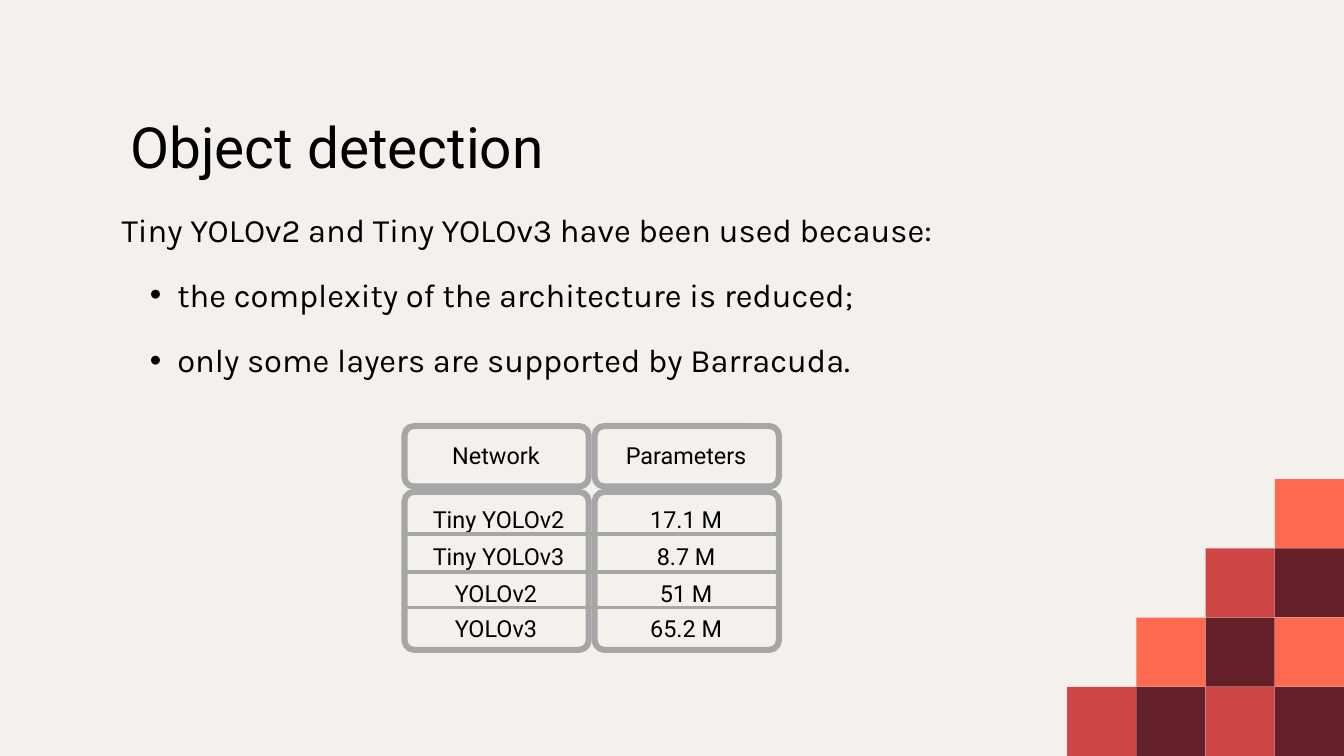
import pptx
import pptx.util
import pptx.dml.color
import pptx.enum.shapes
import pptx.enum.text
import pptx.oxml.ns
from lxml import etree

PX = 9144  # 100 px to the inch
WIDE, HIGH = 2000, 1125
GREY = "A6A6A6"
Pt = pptx.util.Pt
SHAPE = pptx.enum.shapes.MSO_SHAPE
qn = pptx.oxml.ns.qn


def rgb(code):
    return pptx.dml.color.RGBColor.from_string(code)


def write(left, top, width, height, lines, font, size, pitch, align="LEFT"):
    box = slide.shapes.add_textbox(left * PX, top * PX, width * PX, height * PX)
    frame = box.text_frame
    frame.word_wrap = True
    frame.margin_left = frame.margin_right = 0
    frame.margin_top = frame.margin_bottom = 0
    for i, line in enumerate(lines):
        para = frame.paragraphs[0] if i == 0 else frame.add_paragraph()
        para.alignment = getattr(pptx.enum.text.PP_ALIGN, align)
        para.line_spacing = Pt(pitch)
        run = para.add_run()
        run.text = line
        run.font.name = font
        run.font.size = Pt(size)
        run.font.color.rgb = rgb("000000")
    return frame


deck = pptx.Presentation()
deck.slide_width = WIDE * PX
deck.slide_height = HIGH * PX
slide = deck.slides.add_slide(deck.slide_layouts[6])
slide.background.fill.solid()
slide.background.fill.fore_color.rgb = rgb("F4F1ED")

# Stairs of tiles, set out from the bottom right corner
tile = 103
dark, coral, red = "65212A", "FF6950", "CF4545"
stairs = [[coral], [red, dark], [coral, dark, coral], [red, dark, red, dark]]
for row, tints in enumerate(stairs):
    for col, tint in enumerate(tints):
        left = WIDE - (len(tints) - col) * tile
        top = HIGH - (len(stairs) - row) * tile
        block = slide.shapes.add_shape(
            SHAPE.RECTANGLE, left * PX, top * PX, tile * PX, tile * PX)
        block.shadow.inherit = False
        block.fill.solid()
        block.fill.fore_color.rgb = rgb(tint)
        block.line.fill.background()

# Title
write(194, 149, 1397, 115, ["Object detection"], "Roboto", 60.8, 85)

# Reasons, with bullets after the first line
body = write(181, 302, 1397, 261, [
    "Tiny YOLOv2 and Tiny YOLOv3 have been used because:",
    "the complexity of the architecture is reduced;",
    "only some layers are supported by Barracuda.",
], "Karla", 35, 49)
for para in body.paragraphs[1:]:
    para.level = 1
    para.space_before = Pt(21)
    props = para._p.get_or_add_pPr()
    props.set("marL", str(83 * PX))
    props.set("indent", str(-41 * PX))
    etree.SubElement(props, qn("a:buFont")).set("typeface", "Arial")
    etree.SubElement(props, qn("a:buChar")).set("char", "•")

# Table frames: a head and a body for each column
for left in (602, 885):
    for top, height in ((634, 90), (732, 235)):
        pane = slide.shapes.add_shape(
            SHAPE.ROUNDED_RECTANGLE, left * PX, top * PX, 274 * PX, height * PX)
        pane.adjustments[0] = 14 / min(274, height)
        pane.shadow.inherit = False
        pane.fill.background()
        pane.line.color.rgb = rgb(GREY)
        pane.line.width = 9 * PX

# Table text: top, middle of the first column, two cells
rows = [
    (650, 738, "Network", "Parameters"),
    (744, 742, "Tiny YOLOv2", "17.1 M"),
    (800, 742, "Tiny YOLOv3", "8.7 M"),
    (855, 738, "YOLOv2", "51 M"),
    (907, 738, "YOLOv3", "65.2 M"),
]
for top, mid, name, count in rows:
    for centre, text in ((mid, name), (1021, count)):
        write(centre - 121, top, 242, 49, [text], "Roboto", 25.1, 35.1, "CENTER")

# Lines between the rows
for y in (795, 851, 904):
    for x in (600, 875):
        rule = slide.shapes.add_connector(
            pptx.enum.shapes.MSO_CONNECTOR.STRAIGHT,
            x * PX, y * PX, (x + 283) * PX, y * PX)
        rule.line.color.rgb = rgb(GREY)
        rule.line.width = Pt(3.75)
        etree.SubElement(rule._element.spPr, qn("a:effectLst"))

deck.save("out.pptx")
